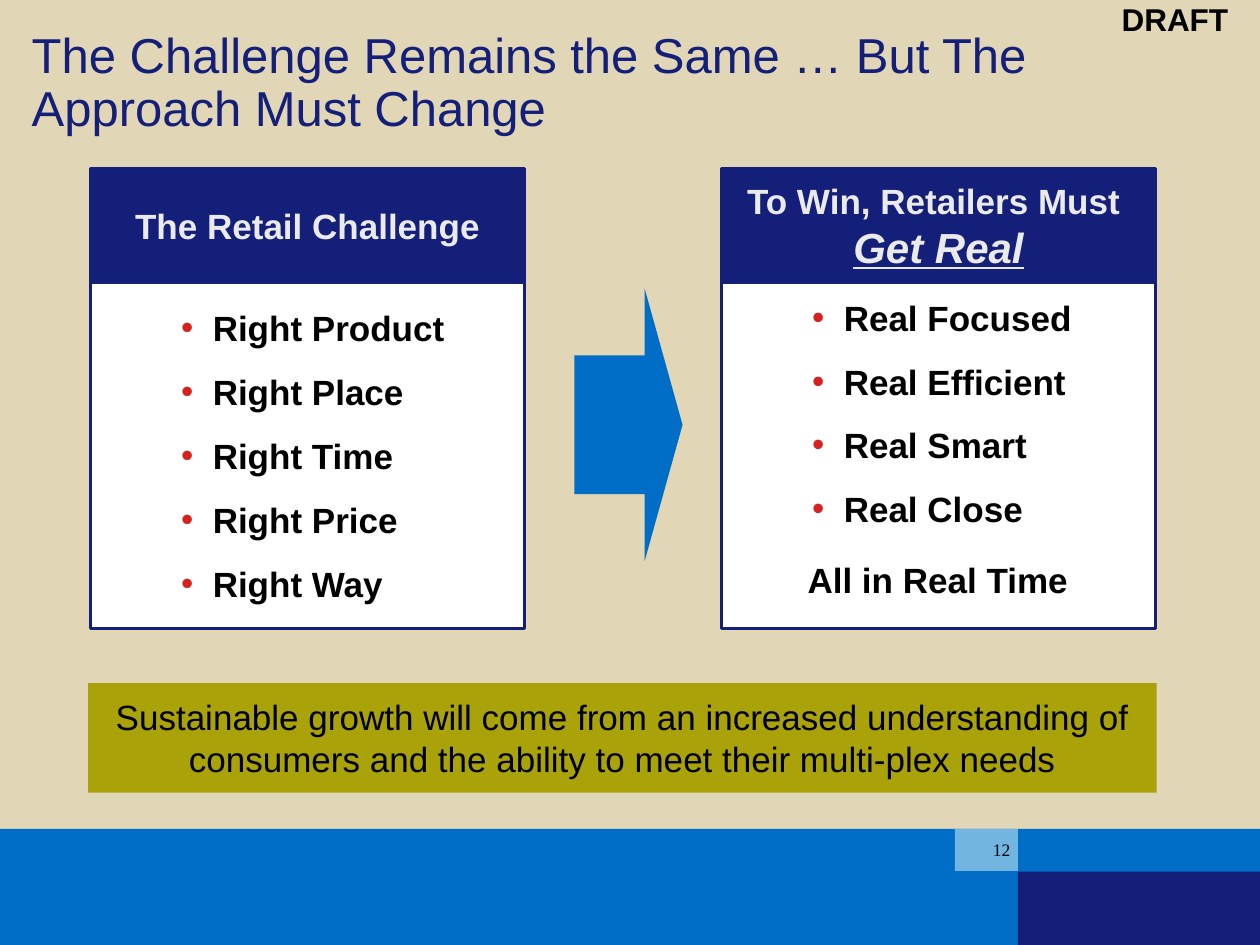
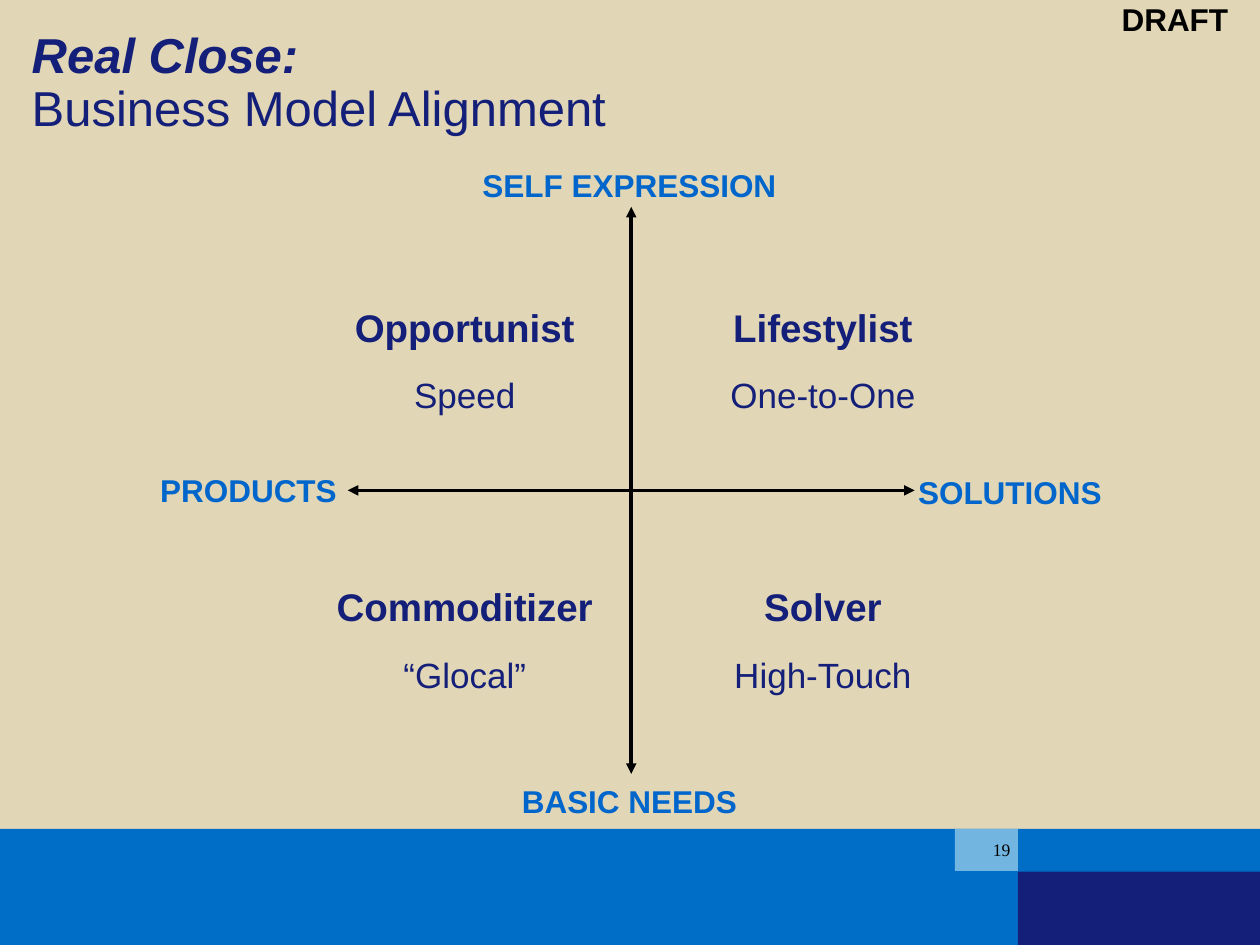
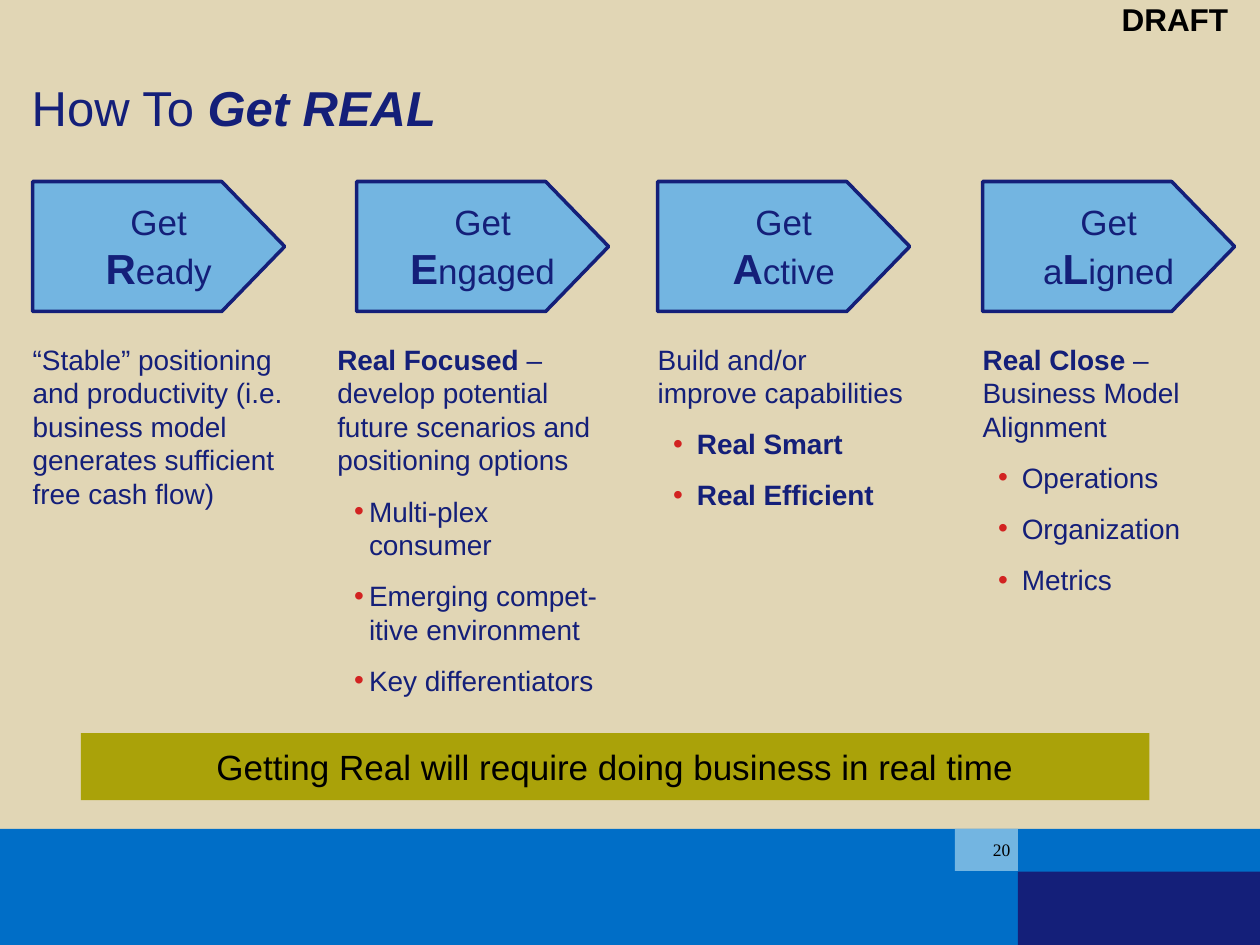
import collections
import copy

import lxml.etree
import pptx
import pptx.dml.color
import pptx.enum.shapes
import pptx.enum.text
import pptx.oxml.ns
import pptx.util

Cm = pptx.util.Cm
Pt = pptx.util.Pt
qn = pptx.oxml.ns.qn
SHAPE = pptx.enum.shapes.MSO_SHAPE
ALIGN = pptx.enum.text.PP_ALIGN
ANCHOR = pptx.enum.text.MSO_ANCHOR

Box = collections.namedtuple("Box", "left top width height")

COLOURS = {
    "sand": "E1D6B5",
    "blue": "006EC7",
    "navy": "141F79",
    "sky": "73B5E1",
    "olive": "AAA209",
    "label": "0066CC",
    "red": "D22321",
    "mist": "EAEAEA",
    "white": "FFFFFF",
    "black": "000000",
}

PLAIN = {"name": "Arial", "size": Pt(20), "bold": False, "colour": "navy"}
STRONG = PLAIN | {"bold": True}
INITIAL = STRONG | {"size": Pt(24)}
TITLE = PLAIN | {"size": Pt(28)}
TITLE_ACCENT = TITLE | {"bold": True, "italic": True}
HEADING = STRONG | {"colour": "mist"}
HEADING_ACCENT = HEADING | {"size": Pt(24), "italic": True, "underline": True}
POINT = STRONG | {"colour": "black"}
MESSAGE = PLAIN | {"colour": "black"}
DRAFT = POINT | {"size": Pt(18)}
AXIS_LABEL = STRONG | {"size": Pt(18), "colour": "label"}
QUADRANT = STRONG | {"size": Pt(22)}
NOTE = PLAIN | {"size": Pt(16)}
NOTE_STRONG = NOTE | {"bold": True}
PAGE_NUMBER = MESSAGE | {"name": "Times New Roman", "size": Pt(10)}

CENTRED = {"alignment": ALIGN.CENTER}
LEFT = {"alignment": ALIGN.LEFT}
PADDING = 0.25


def rgb(colour):
    return pptx.dml.color.RGBColor.from_string(COLOURS[colour])


def apply(target, formats):
    for attribute, value in formats.items():
        setattr(target, attribute, value)


def lengths(box):
    return [Cm(value) for value in box]


def within(box, left, top, width, height):
    return Box(box.left + left, box.top + top, width, height)


def add_bullet(paragraph, indent, hanging):
    properties = paragraph._p.get_or_add_pPr()
    properties.set("marL", str(Cm(indent)))
    properties.set("indent", str(-Cm(hanging)))
    colour = lxml.etree.SubElement(properties, qn("a:buClr"))
    lxml.etree.SubElement(colour, qn("a:srgbClr"), val=COLOURS["red"])
    lxml.etree.SubElement(properties, qn("a:buFont"), typeface="Arial")
    lxml.etree.SubElement(properties, qn("a:buChar"), char="•")


def write(frame, paragraphs, padding=0, **formats):
    margins = dict.fromkeys(
        ("margin_left", "margin_top", "margin_right", "margin_bottom"), Cm(padding)
    )
    defaults = {"word_wrap": True, "vertical_anchor": ANCHOR.TOP}
    apply(frame, margins | defaults | formats)
    for index, (runs, layout, bullet) in enumerate(paragraphs):
        paragraph = frame.add_paragraph() if index else frame.paragraphs[0]
        if bullet:
            add_bullet(paragraph, *bullet)
        apply(paragraph, layout)
        for text, style in runs:
            run = paragraph.add_run()
            run.text = text.rstrip("\n")
            apply(run.font, {key: style[key] for key in style if key != "colour"})
            run.font.color.rgb = rgb(style["colour"])
            if text.endswith("\n"):
                paragraph.add_line_break()
                paragraph._p[-1].append(copy.deepcopy(run._r.rPr))


def line_of(text, style, layout=CENTRED, bullet=None):
    return [(text, style)], layout, bullet


def paint(shape, fill, outline=None, weight=1.5):
    shape.shadow.inherit = False
    shape.fill.solid()
    shape.fill.fore_color.rgb = rgb(fill)
    if outline:
        shape.line.color.rgb = rgb(outline)
        shape.line.width = Pt(weight)
    else:
        shape.line.fill.background()


def add_block(slide, box, fill, outline=None, kind=SHAPE.RECTANGLE):
    block = slide.shapes.add_shape(kind, *lengths(box))
    paint(block, fill, outline)
    return block


def add_text(slide, box, paragraphs, **formats):
    text = slide.shapes.add_textbox(*lengths(box))
    write(text.text_frame, paragraphs, **formats)
    return text


def add_shared_parts(layout, slide):
    layout.background.fill.solid()
    layout.background.fill.fore_color.rgb = rgb("sand")
    shared = [
        add_block(slide, Box(0, 16.71, 25.4, 2.34), "blue"),
        add_block(slide, Box(20.52, 17.57, 4.88, 1.48), "navy"),
        add_block(slide, Box(19.25, 16.71, 1.27, 0.85), "sky"),
        add_text(slide, Box(21.97, 0, 3.43, 0.76), [line_of("DRAFT", DRAFT)]),
    ]
    for number, part in enumerate(shared, start=20):
        part.element.nvSpPr.cNvPr.set("id", str(number))
        layout.shapes.element.append(part.element)


def start_slide(deck, title_runs, page):
    layout = deck.slide_layouts.get_by_name("Title Only")
    slide = deck.slides.add_slide(layout)
    if len(deck.slides) == 1:
        add_shared_parts(layout, slide)
    title = slide.shapes.title
    places = lengths(Box(0.64, 0.58, 24.13, 2.18))
    apply(title, dict(zip(Box._fields, places)))
    write(
        title.text_frame,
        [(title_runs, LEFT | {"line_spacing": 0.9}, None)],
        vertical_anchor=ANCHOR.BOTTOM,
        auto_size=pptx.enum.text.MSO_AUTO_SIZE.NONE,
    )
    add_text(
        slide,
        Box(19.25, 16.81, 1.27, 0.64),
        [line_of(str(page), PAGE_NUMBER)],
        vertical_anchor=ANCHOR.MIDDLE,
        margin_left=Cm(0.61),
    )
    return slide


def add_banner(slide, box, message):
    banner = add_block(slide, box, "olive")
    write(banner.text_frame, [line_of(message, MESSAGE)], PADDING)


def add_panel(slide, box, heading_runs, points, room_below=PADDING):
    heading_height = 2.29
    heading = add_block(
        slide, box._replace(height=heading_height), "navy", "navy"
    )
    write(
        heading.text_frame,
        [(heading_runs, CENTRED, None)],
        PADDING,
        vertical_anchor=ANCHOR.MIDDLE,
    )
    body_box = within(box, 0, heading_height, box.width, box.height - heading_height)
    body = add_block(slide, body_box, "white", "navy")
    spacing = LEFT | {"space_after": Pt(12.5)}
    write(
        body.text_frame,
        [line_of(point, POINT, spacing, (2.21, 0.64)) for point in points],
        PADDING,
        vertical_anchor=ANCHOR.MIDDLE,
        margin_bottom=Cm(room_below),
    )


def add_axis(slide, start, end):
    axis = slide.shapes.add_connector(
        pptx.enum.shapes.MSO_CONNECTOR.STRAIGHT, *lengths(start + end)
    )
    axis.line.color.rgb = rgb("black")
    axis.line.width = Pt(2)
    properties = axis.element.spPr
    outline = properties.find(qn("a:ln"))
    for tip in ("a:headEnd", "a:tailEnd"):
        lxml.etree.SubElement(outline, qn(tip), type="triangle")
    lxml.etree.SubElement(properties, qn("a:effectLst"))


def add_positioning_map(slide, box, labels, quadrants):
    middle_x = box.left + box.width / 2
    middle_y = box.top + box.height / 2
    right, bottom = box.left + box.width, box.top + box.height
    add_axis(slide, (box.left, middle_y), (right, middle_y))
    add_axis(slide, (middle_x, bottom), (middle_x, box.top))
    for label, left, top, width in labels:
        place = within(box, left, top, width, 0.76)
        add_text(slide, place, [line_of(label, AXIS_LABEL)])
    for row, pair in enumerate(quadrants):
        for column, (model, focus) in enumerate(pair):
            place = within(box, -1.45 + 7.22 * column, 1.95 + 5.64 * row, 7.62, 2.16)
            model_layout = CENTRED | {"space_after": Pt(13.8)}
            add_text(
                slide,
                place,
                [line_of(model, QUADRANT, model_layout), line_of(focus, PLAIN)],
            )


def add_chevron(slide, box, word_runs):
    shoulder = box.left + box.width * 0.75
    right, bottom = box.left + box.width, box.top + box.height
    outline = slide.shapes.build_freeform(Cm(box.left), Cm(box.top))
    corners = [
        (shoulder, box.top),
        (right, box.top + box.height / 2),
        (shoulder, bottom),
        (box.left, bottom),
    ]
    outline.add_line_segments([(Cm(x), Cm(y)) for x, y in corners], close=True)
    chevron = outline.convert_to_shape()
    paint(chevron, "sky", "navy", 2)
    write(
        chevron.text_frame,
        [line_of("Get", PLAIN), (word_runs, CENTRED, None)],
        vertical_anchor=ANCHOR.MIDDLE,
    )


def add_step(slide, box, word_runs, note_runs, points, note_shift, point_style, bullet):
    add_chevron(slide, box._replace(height=2.62), word_runs)
    note_box = within(box, note_shift, 2.99, 5.4 - note_shift, box.height - 2.99)
    point_layout = LEFT | {"level": 1, "space_before": Pt(10)}
    details = [line_of(point, point_style, point_layout, bullet) for point in points]
    add_text(slide, note_box, [(note_runs, LEFT, None)] + details, padding=PADDING)


def build_challenge(deck):
    title = "The Challenge Remains the Same … But The Approach Must Change"
    slide = start_slide(deck, [(title, TITLE)], 12)
    add_banner(
        slide,
        Box(1.78, 13.77, 21.54, 2.21),
        "Sustainable growth will come from an increased understanding of "
        "consumers and the ability to meet their multi-plex needs",
    )
    arrow = add_block(
        slide, Box(11.58, 5.82, 2.18, 5.49), "blue", kind=SHAPE.RIGHT_ARROW
    )
    arrow.adjustments[0] = 0.51
    arrow.adjustments[1] = 0.35
    challenge_box = Box(1.83, 3.4, 8.74, 9.27)
    add_panel(
        slide,
        challenge_box,
        [("The Retail Challenge", HEADING)],
        [f"Right {item}" for item in ("Product", "Place", "Time", "Price", "Way")],
    )
    answer_box = challenge_box._replace(left=14.55)
    add_panel(
        slide,
        answer_box,
        [("To Win, Retailers Must \n", HEADING), ("Get Real", HEADING_ACCENT)],
        [f"Real {item}" for item in ("Focused", "Efficient", "Smart", "Close")],
        room_below=1.96,
    )
    add_text(
        slide,
        within(answer_box, 1.73, 7.85, 5.26, 0.85),
        [line_of("All in Real Time", POINT, LEFT)],
        word_wrap=False,
    )


def build_alignment(deck):
    title = [("Real Close:\n", TITLE_ACCENT), ("Business Model Alignment", TITLE)]
    slide = start_slide(deck, title, 19)
    labels = [
        ("PRODUCTS", -3.83, 5.33, 3.66),
        ("BASIC NEEDS", 3.43, 11.6, 4.5),
        ("SOLUTIONS", 11.43, 5.36, 3.84),
        ("SELF EXPRESSION", 1.63, -0.82, 8.1),
    ]
    quadrants = [
        [("Opportunist", "Speed"), ("Lifestylist", "One-to-One")],
        [("Commoditizer", "“Glocal”"), ("Solver", "High-Touch")],
    ]
    add_positioning_map(slide, Box(7.01, 4.17, 11.43, 11.43), labels, quadrants)


def build_steps(deck):
    title = [("How To ", TITLE), ("Get REAL", TITLE_ACCENT)]
    slide = start_slide(deck, title, 20)
    wide, narrow = (0.79, 0.48), (0.64, 0.3)
    steps = [
        (
            0.66,
            [("R", INITIAL), ("eady", PLAIN)],
            [
                (
                    "“Stable” positioning and productivity (i.e. business model "
                    "generates sufficient free cash flow)",
                    NOTE,
                )
            ],
            [],
            -0.25,
            NOTE,
            wide,
        ),
        (
            7.19,
            [("E", INITIAL), ("ngaged", PLAIN)],
            [
                ("Real Focused", NOTE_STRONG),
                (
                    " – develop potential future scenarios and positioning options",
                    NOTE,
                ),
            ],
            [
                "Multi-plex consumer",
                "Emerging compet-itive environment",
                "Key differentiators",
            ],
            -0.64,
            NOTE,
            narrow,
        ),
        (
            13.26,
            [("A", INITIAL), ("ctive", PLAIN)],
            [("Build and/or improve capabilities", NOTE)],
            ["Real Smart", "Real Efficient"],
            -0.25,
            NOTE_STRONG,
            wide,
        ),
        (
            19.81,
            [("a", PLAIN), ("L", INITIAL), ("igned", PLAIN)],
            [("Real Close", NOTE_STRONG), (" – Business Model Alignment", NOTE)],
            ["Operations", "Organization", "Metrics"],
            -0.25,
            NOTE,
            wide,
        ),
    ]
    for left, *content in steps:
        add_step(slide, Box(left, 3.66, 5.08, 11.17), *content)
    add_banner(
        slide,
        Box(1.63, 14.78, 21.54, 1.35),
        "Getting Real will require doing business in real time",
    )


def main():
    deck = pptx.Presentation()
    apply(deck, {"slide_width": Cm(25.4), "slide_height": Cm(19.05)})
    for build in (build_challenge, build_alignment, build_steps):
        build(deck)
    deck.save("out.pptx")


if __name__ == "__main__":
    main()
